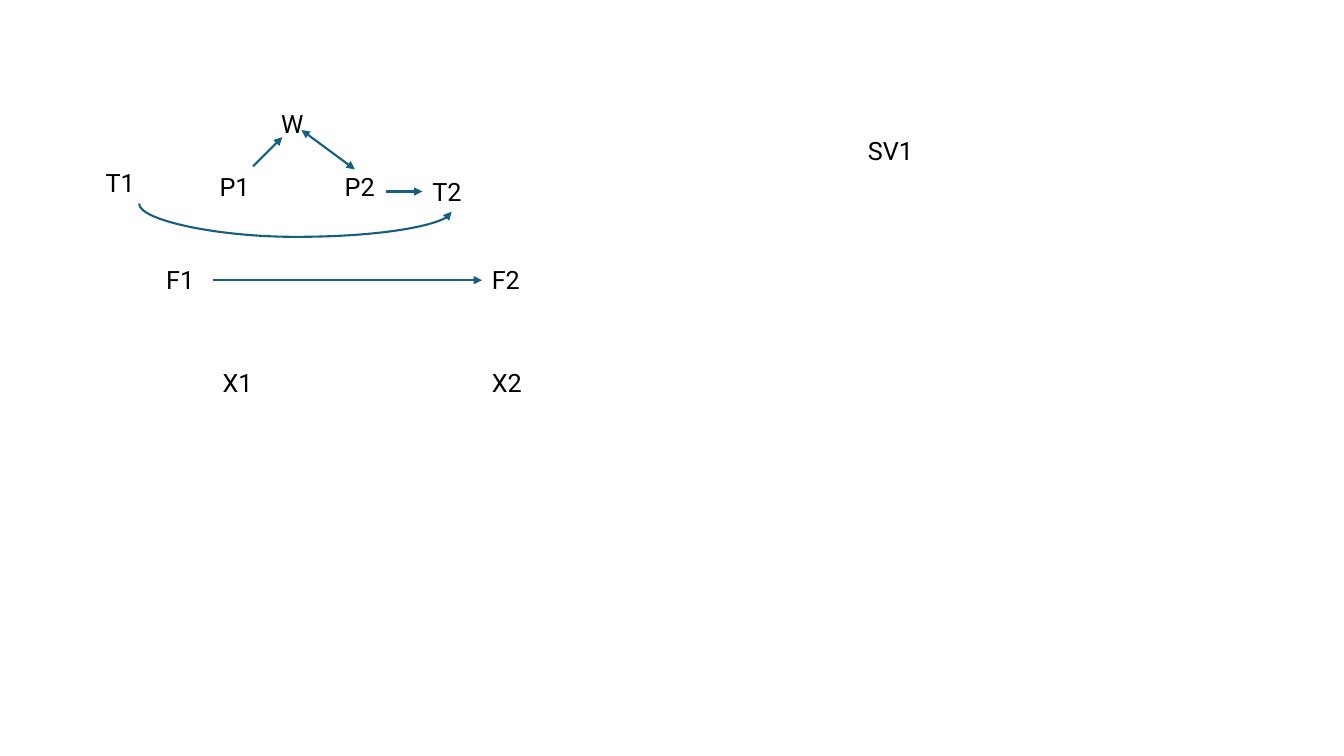
from pptx import Presentation
from pptx.dml.color import RGBColor
from pptx.enum.shapes import MSO_CONNECTOR
from pptx.enum.text import MSO_AUTO_SIZE
from pptx.oxml.ns import qn
from pptx.util import Inches, Pt
from lxml.etree import SubElement

CELL = 0.1  # grid step in inches
INK, BLUE = "000000", "156082"
FONT = {"name": "Roboto", "size": Pt(18)}

# Label: (column, row, width in columns)
LABELS = {
    "T1": (0, 5.8, 8.6), "W": (17.4, 0, 8.6),
    "P1": (11.3, 6.2, 8.6), "P2": (23.7, 6.2, 8.6), "T2": (32.4, 6.7, 5.9),
    "F1": (6, 15.4, 8.6), "F2": (38.3, 15.4, 8.6),
    "X1": (11.6, 25.6, 8.6), "X2": (38.3, 25.6, 8.6),
}
# Start, end, arrowhead at both ends
ARROWS = [
    ((11.6, 17.5), (38.3, 17.5), False),  # F1 to F2
    ((28.8, 8.7), (32.4, 8.7), False),    # P2 to T2
    ((15.6, 6.2), (18.5, 3.3), False),    # P1 to W
    ((20.4, 2.6), (25.7, 6.5), True),     # W and P2
]
CURVE = ((4.3, 9.9), (35.3, 10.7), 3.3)   # T1 to T2, with its dip


def color(code):
    return RGBColor.from_string(code)


def place(box, col, row):
    return Inches(box[0] + col * CELL), Inches(box[1] + row * CELL)


def label(slide, box, text, col, row, width):
    shape = slide.shapes.add_textbox(
        *place(box, col, row), Inches(width * CELL), Inches(4 * CELL))
    frame = shape.text_frame
    frame.word_wrap = True
    frame.auto_size = MSO_AUTO_SIZE.SHAPE_TO_FIT_TEXT
    run = frame.paragraphs[0].add_run()
    run.text = text
    for key, value in FONT.items():
        setattr(run.font, key, value)
    run.font.color.rgb = color(INK)


def arrow(slide, box, start, end, both=False, kind=MSO_CONNECTOR.STRAIGHT):
    link = slide.shapes.add_connector(
        kind, *place(box, *start), *place(box, *end))
    link.line.color.rgb = color(BLUE)
    link.line.width = Pt(1.5)
    line = link.line._get_or_add_ln()
    for tag in ("a:headEnd", "a:tailEnd") if both else ("a:tailEnd",):
        SubElement(line, qn(tag)).set("type", "triangle")
    SubElement(link._element.spPr, qn("a:effectLst"))
    return link


def curve(slide, box, start, end, dip):
    # Lay the bend upright about its centre, then turn it a quarter left
    (x1, y1), (x2, y2) = start, end
    midx, midy = (x1 + x2) / 2, (y1 + y2) / 2
    wide, high = (x2 - x1) / 2, (y2 - y1) / 2
    link = arrow(slide, box, (midx + high, midy - wide),
                 (midx - high, midy + wide), kind=MSO_CONNECTOR.CURVE)
    props = link._element.spPr
    props.find(qn("a:xfrm")).set("rot", str(270 * 60000))
    guides = props.find(qn("a:prstGeom")).get_or_add_avLst()
    bend = SubElement(guides, qn("a:gd"))
    bend.set("name", "adj1")
    bend.set("fmla", f"val {round(dip / (y2 - y1) * 100000)}")


def model(slide, box):
    for text, spot in LABELS.items():
        label(slide, box, text, *spot)
    for item in ARROWS:
        arrow(slide, box, *item)
    curve(slide, box, *CURVE)


def main():
    deck = Presentation()
    deck.slide_width, deck.slide_height = Inches(13.33), Inches(7.5)
    slide = deck.slides.add_slide(deck.slide_layouts[6])
    # Path diagram on the left, lone label on the right
    model(slide, (0.95, 1.03))
    label(slide, (8.51, 1.29), "SV1", 0, 0, 33.5)
    deck.save("out.pptx")


if __name__ == "__main__":
    main()
